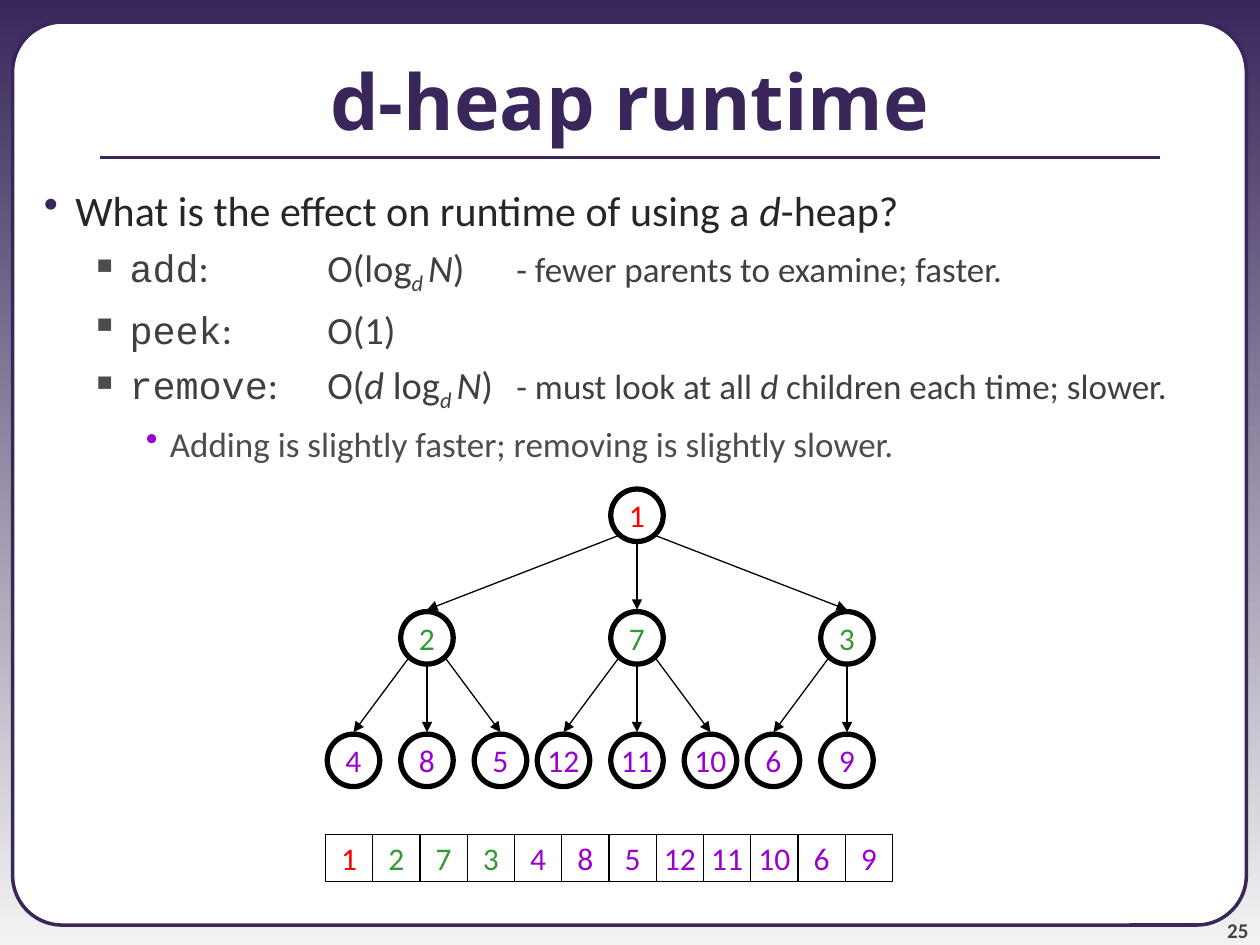
from dataclasses import dataclass

from lxml.etree import SubElement
from pptx import Presentation
from pptx.dml.color import RGBColor
from pptx.enum.shapes import MSO_CONNECTOR as Connector, MSO_SHAPE as Shape
from pptx.enum.text import MSO_ANCHOR as Anchor, PP_ALIGN as Align
from pptx.oxml.ns import qn
from pptx.util import Inches, Pt

COLUMNS, ROWS = 120, 90  # grid of 1/12 inch squares


@dataclass(frozen=True)
class Theme:
    brand: str = "39275B"
    fade: str = "F3F3F3"
    panel: str = "FFFFFF"
    ink: str = "000000"
    number: str = "424242"
    body: tuple = ("262626", "404040", "4D4D4D")
    bullets: tuple = (("•", "39275B"), ("▪", "4D4D4D"), ("•", "9900CC"))
    levels: tuple = ("FF0000", "339933", "9900CC")
    heading_font: str = "Open Sans"
    text_font: str = "Calibri"
    code_font: str = "Courier New"
    title_size: int = 44
    body_sizes: tuple = (24, 22, 20)
    note_size: int = 20
    node_size: int = 18
    number_size: int = 12
    indents: tuple = ((0.5, -0.25), (0.93, -0.31), (1.25, -0.19))
    tabs: tuple = (0.94, 1.25, 2.5, 3, 4, 5, 6, 7)


class Deck:
    """Draws on one slide; every position and size is in grid columns and rows."""

    def __init__(self, theme):
        self.theme = theme
        self.presentation = Presentation()
        self.presentation.slide_width = Inches(10)
        self.presentation.slide_height = Inches(7.5)
        self.slide = self.presentation.slides.add_slide(self.presentation.slide_layouts[6])

    def place(self, column, row):
        return (round(column * self.presentation.slide_width / COLUMNS),
                round(row * self.presentation.slide_height / ROWS))

    def background(self):
        fill = self.slide.background.fill
        fill.gradient()
        fill.gradient_angle = 270
        for stop, color in zip(fill.gradient_stops, (self.theme.brand, self.theme.fade)):
            stop.color.rgb = RGBColor.from_string(color)

    def style(self, run, size, color, font=None, bold=None, italic=None):
        run.font.size = Pt(size)
        run.font.name = font or self.theme.text_font
        run.font.color.rgb = RGBColor.from_string(color)
        run.font.bold, run.font.italic = bold, italic

    def outline(self, kind, column, row, width, height, line, weight, fill=None):
        shape = self.slide.shapes.add_shape(
            kind, *self.place(column, row), *self.place(width, height))
        shape.shadow.inherit = False
        if fill:
            shape.fill.solid()
            shape.fill.fore_color.rgb = RGBColor.from_string(fill)
        else:
            shape.fill.background()
        shape.line.color.rgb = RGBColor.from_string(line)
        shape.line.width = Pt(weight)
        return shape

    def cell(self, kind, center, middle, size, weight, value, color):
        """A heap value in a square or circle around the given center."""
        shape = self.outline(kind, center - size / 2, middle - size / 2,
                             size, size, self.theme.ink, weight)
        frame = shape.text_frame
        frame.text, frame.word_wrap = str(value), False
        frame.vertical_anchor = Anchor.MIDDLE
        frame.paragraphs[0].alignment = Align.CENTER
        self.style(frame.paragraphs[0].runs[0], self.theme.node_size, color)

    def line(self, start, end, color, weight, arrow=False):
        connector = self.slide.shapes.add_connector(
            Connector.STRAIGHT, *self.place(*start), *self.place(*end))
        connector.line.color.rgb = RGBColor.from_string(color)
        connector.line.width = Pt(weight)
        if arrow:
            SubElement(connector.line._get_or_add_ln(), qn("a:tailEnd"), type="triangle")
        SubElement(connector._element.spPr, qn("a:effectLst"))

    def text_area(self, column, row, width, height, anchor=Anchor.TOP):
        box = self.slide.shapes.add_textbox(
            *self.place(column, row), *self.place(width, height))
        box.text_frame.word_wrap = True
        box.text_frame.vertical_anchor = anchor
        return box.text_frame

    def label(self, text, area, anchor, align, size, color, font=None):
        frame = self.text_area(*area, anchor)
        frame.text = text
        frame.paragraphs[0].alignment = align
        self.style(frame.paragraphs[0].runs[0], size, color, font, bold=True)
        return frame

    def outline_list(self, area, points):
        frame = self.text_area(*area)
        for index, (level, space, pieces) in enumerate(points):
            paragraph = frame.paragraphs[0] if index == 0 else frame.add_paragraph()
            self.bullet(paragraph, level)
            paragraph.space_before = Pt(space)
            for text, *marks in pieces:
                run = paragraph.add_run()
                run.text = text
                size = self.theme.note_size if "note" in marks else self.theme.body_sizes[level]
                font = self.theme.code_font if "code" in marks else None
                self.style(run, size, self.theme.body[level], font, italic="var" in marks)
                if "sub" in marks:
                    run.font._element.set("baseline", "-25000")

    def bullet(self, paragraph, level):
        sign, color = self.theme.bullets[level]
        margin, indent = self.theme.indents[level]
        props = paragraph._p.get_or_add_pPr()
        props.set("lvl", str(level))
        props.set("marL", str(Inches(margin)))
        props.set("indent", str(Inches(indent)))
        SubElement(SubElement(props, qn("a:buClr")), qn("a:srgbClr"), val=color)
        SubElement(props, qn("a:buChar"), char=sign)
        stops = SubElement(props, qn("a:tabLst"))
        for position in self.theme.tabs:
            SubElement(stops, qn("a:tab"), pos=str(Inches(position)), algn="l")


POINTS = [
    (0, 0, [("What is the effect on runtime of using a ",), ("d", "var"), ("-heap?",)]),
    (1, 5, [("add", "code"), (":\tO(log",), ("d ", "var", "sub"), ("N", "var"), (")\t",),
            ("- fewer parents to examine; faster.", "note")]),
    (1, 5.5, [("peek", "code"), (":\tO(1)",)]),
    (1, 5, [("remove", "code"), (":\tO(",), ("d", "var"), (" log",), ("d ", "var", "sub"),
            ("N", "var"), (")\t",), ("- must look at all ", "note"), ("d", "var", "note"),
            (" children each time; slower.", "note")]),
    (2, 5, [("Adding is slightly faster; removing is slightly slower.",)]),
]
HEAP = [1, 2, 7, 3, 4, 8, 5, 12, 11, 10, 6, 9]
ARITY = 3
ROOT = (60.67, 49.08)
SPREADS = (20, 7)  # columns between siblings, below each level
LEVEL_ROWS = 11.67
NODE, SLOT = 5, 4.5
GAP = 2.68  # from a node's center to an arrow above or below it
SIDE = (1.75, 1.92)  # from a node's center to a slanting arrow


def depth(index):
    return 0 if index == 0 else 1 + depth((index - 1) // ARITY)


def draw_subtree(deck, index, center, middle):
    level = depth(index)
    deck.cell(Shape.OVAL, center, middle, NODE, 3, HEAP[index], deck.theme.levels[level])
    first = ARITY * index + 1
    for child in range(first, min(first + ARITY, len(HEAP))):
        side = child - first - ARITY // 2
        child_center, child_middle = center + side * SPREADS[level], middle + LEVEL_ROWS
        start = (center + side * SIDE[0], middle + (SIDE[1] if side else GAP))
        deck.line(start, (child_center, child_middle - GAP), deck.theme.ink, 0.75, arrow=True)
        draw_subtree(deck, child, child_center, child_middle)


def draw_array(deck, left, middle):
    for index, value in enumerate(HEAP):
        deck.cell(Shape.RECTANGLE, left + (index + 0.5) * SLOT, middle, SLOT, 0.75,
                  value, deck.theme.levels[depth(index)])


def main():
    theme = Theme()
    deck = Deck(theme)
    deck.background()
    panel = deck.outline(Shape.ROUNDED_RECTANGLE, 1.2, 2.1, 117.5, 86, theme.brand, 2, theme.panel)
    panel.adjustments[0] = 0.055
    number = deck.label("25", (109, 85, 9.9, 4.8), Anchor.BOTTOM, Align.RIGHT,
                        theme.number_size, theme.number)
    number.margin_left = number.margin_top = number.margin_right = number.margin_bottom = 0
    deck.line((9.5, 15), (110.5, 15), theme.brand, 2.25)
    deck.label("d-heap runtime", (0, 2, COLUMNS, 15), Anchor.MIDDLE, Align.CENTER,
               theme.title_size, theme.brand, theme.heading_font)
    deck.outline_list((0, 17, COLUMNS, 73), POINTS)
    draw_subtree(deck, 0, *ROOT)
    draw_array(deck, 31, 81.7)
    deck.presentation.save("out.pptx")


if __name__ == "__main__":
    main()
